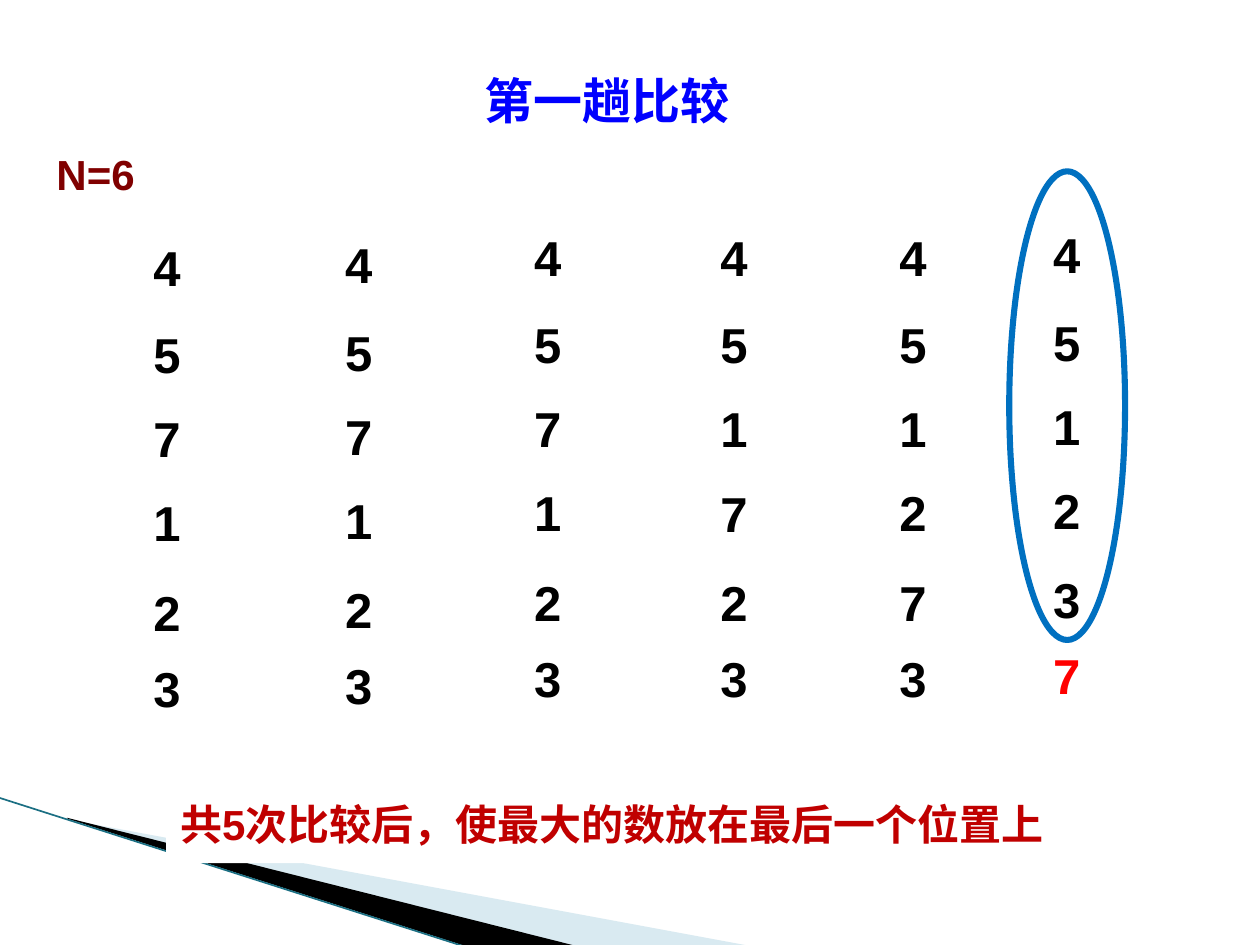
from pptx import Presentation
from pptx import util as u
from pptx.dml import color as c
from pptx.enum import shapes as s, text as t
from pptx.oxml import ns
from lxml import etree

Pt = u.Pt
HUES = {"blue": "0000FF", "black": "000000", "red": "FF0000",
        "brick": "C00000", "maroon": "800000", "ring": "0070C0",
        "pale": "A0CBDC", "teal": "1B6F83", "white": "FFFFFF"}
CJK = "Noto Sans CJK SC"


def rgb(name):
    return c.RGBColor.from_string(HUES[name])


def write(box, words, size=28, hue="black", font="Arial", lead=None,
          anchor=t.MSO_ANCHOR.BOTTOM):
    frame = box.text_frame
    frame.word_wrap = True
    frame.vertical_anchor = anchor
    par = frame.paragraphs[0]
    par.alignment = t.PP_ALIGN.LEFT
    if lead:
        par.line_spacing = lead
    run = par.add_run()
    run.text = words
    run.font.size, run.font.bold, run.font.name = Pt(size), True, font
    run.font.color.rgb = rgb(hue)
    east = etree.SubElement(run.font._element, ns.qn("a:ea"))
    east.set("typeface", CJK)


deck = Presentation()
deck.slide_width, deck.slide_height = Pt(720), Pt(540)
slide = deck.slides.add_slide(deck.slide_layouts[6])
parts = slide.shapes

# Corner wedges
wedges = [
    ("pale", 40, [(39.6, 468.5), (428.4, 540.5), (328.3, 540.5), (39.6, 468)]),
    ("black", 100, [(38.2, 467.3), (329, 540.5), (267.8, 541.2), (38.9, 468)]),
]
for hue, solid, dots in wedges:
    path = parts.build_freeform(Pt(dots[0][0]), Pt(dots[0][1]))
    path.add_line_segments([(Pt(x), Pt(y)) for x, y in dots[1:]])
    wedge = path.convert_to_shape()
    wedge.shadow.inherit = False
    wedge.fill.solid()
    wedge.fill.fore_color.rgb = rgb(hue)
    wedge.line.fill.background()
    if solid < 100:
        tint = wedge._element.spPr.find(".//" + ns.qn("a:srgbClr"))
        etree.SubElement(tint, ns.qn("a:alpha")).set("val", str(solid * 1000))

# Corner edge
edge = parts.add_connector(s.MSO_CONNECTOR.STRAIGHT,
                           Pt(-0.7), Pt(455.8), Pt(267.1), Pt(541.4))
edge.line.color.rgb = rgb("teal")
edge.line.width = Pt(0.95)
etree.SubElement(edge._element.spPr, ns.qn("a:effectLst"))

# Title
title = parts.add_textbox(Pt(270), Pt(36.7), Pt(169.2), Pt(41))
write(title, "第一趟比较", hue="blue", font=CJK,
      anchor=t.MSO_ANCHOR.MIDDLE)

# Number columns: the state after each comparison
steps = [(80.6, 131.8, "457123"), (190.1, 130.3, "457123"),
         (298.1, 126, "457123"), (404.6, 126.2, "451723"),
         (506.9, 126, "451273"), (594.7, 124.6, "451237")]
drops = [0, 49.9, 98, 146, 197.3, 240.5]
for num, (left, top, digits) in enumerate(steps, 1):
    group = parts.add_group_shape()
    for row, (drop, digit) in enumerate(zip(drops, digits), 1):
        box = group.shapes.add_textbox(Pt(left), Pt(top + drop),
                                       Pt(30.2), Pt(41))
        last = num == row == len(steps)
        write(box, digit, hue="red" if last else "black")

# Conclusion
note = parts.add_shape(s.MSO_SHAPE.RECTANGLE,
                       Pt(95), Pt(438.5), Pt(527.8), Pt(54.7))
note.shadow.inherit = False
note.fill.solid()
note.fill.fore_color.rgb = rgb("white")
note.line.fill.background()
note.text_frame.margin_left = note.text_frame.margin_right = Pt(7.9)
write(note, "共5次比较后，使最大的数放在最后一个位置上", size=24,
      hue="brick", lead=1.5, anchor=t.MSO_ANCHOR.TOP)

# Count label
count = parts.add_textbox(Pt(25.2), Pt(81.4), Pt(67.7), Pt(36))
write(count, "N=6", size=24, hue="maroon")

# Ring round the numbers still to sort
ring = parts.add_shape(s.MSO_SHAPE.OVAL,
                       Pt(576.7), Pt(97.9), Pt(66.2), Pt(267.8))
ring.shadow.inherit = False
ring.fill.background()
ring.line.color.rgb = rgb("ring")
ring.line.width = Pt(3.5)

deck.save("out.pptx")
